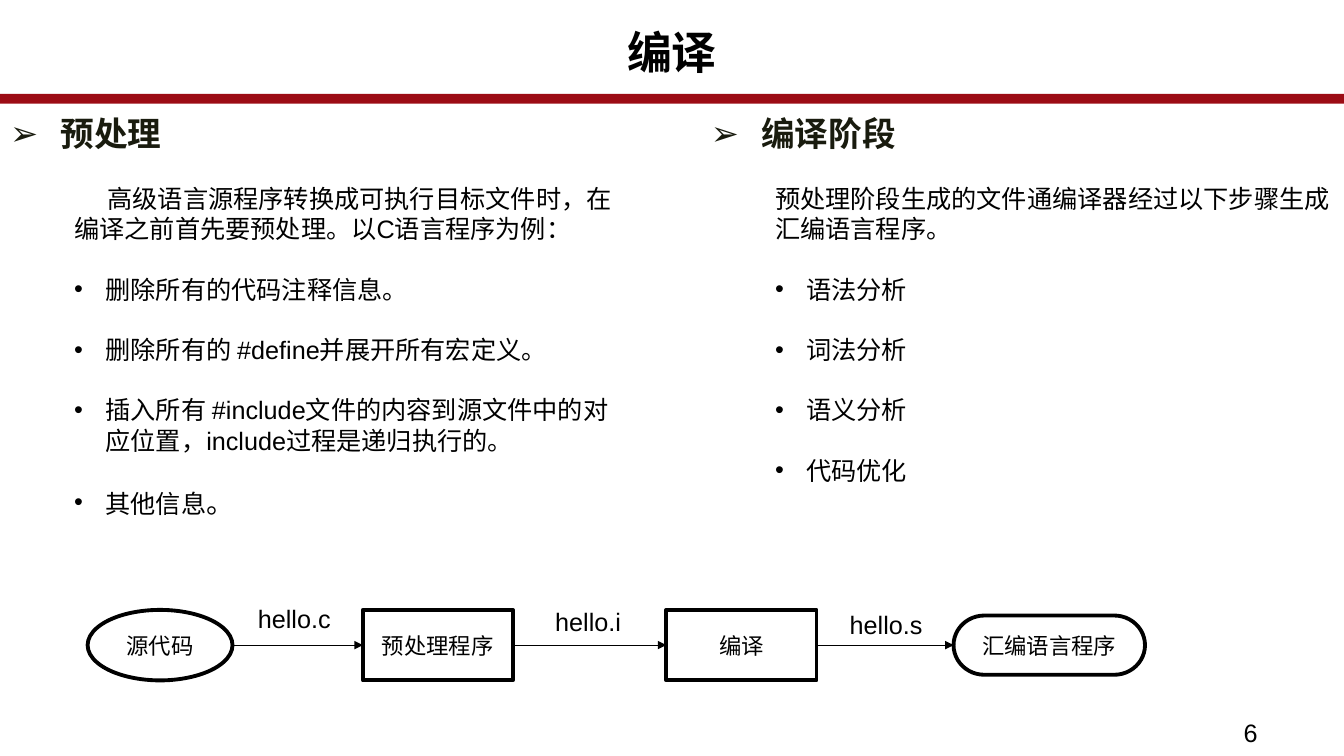
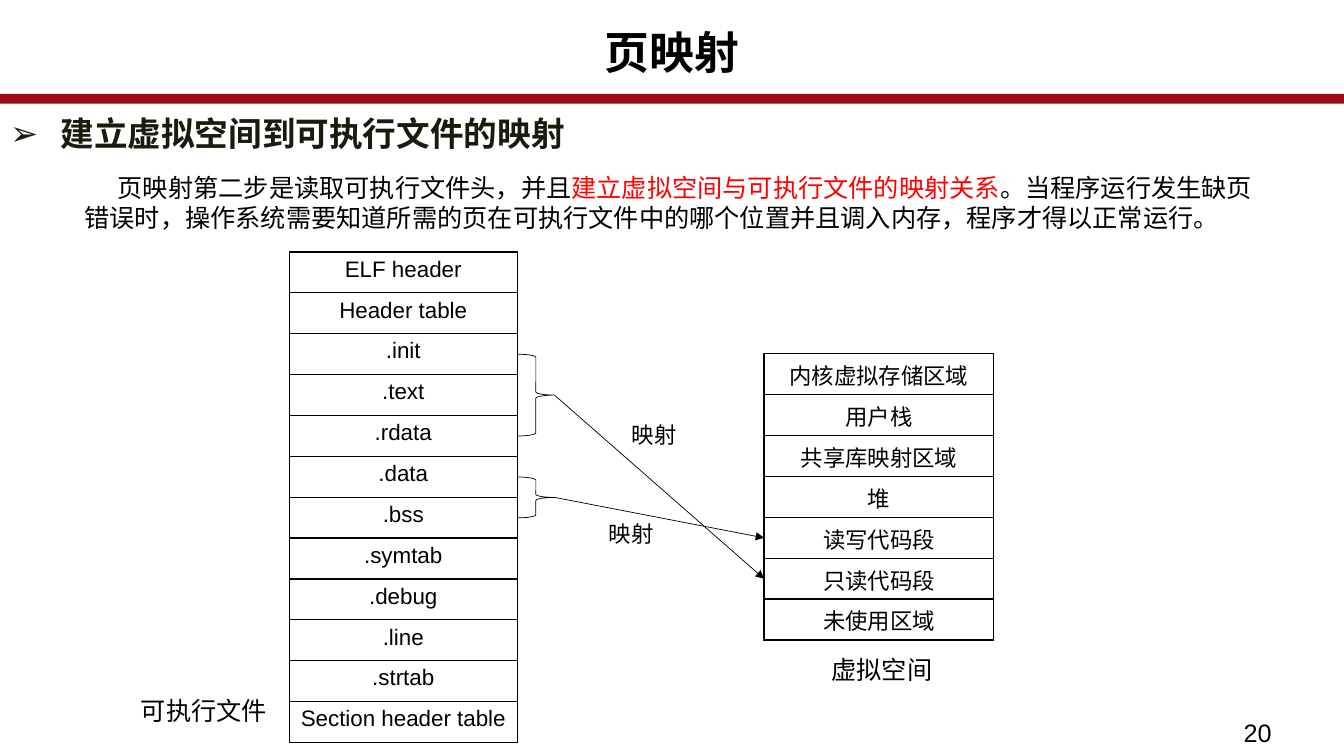
from collections import namedtuple

from lxml import etree
from pptx import Presentation
from pptx.dml.color import RGBColor
from pptx.enum.shapes import MSO_CONNECTOR, MSO_SHAPE
from pptx.enum.text import MSO_ANCHOR, MSO_AUTO_SIZE, PP_ALIGN
from pptx.oxml.ns import qn
from pptx.util import Inches, Pt

WIDTH, HEIGHT = Inches(13.33), Inches(7.5)
FONT = "Arial"
BLACK, WHITE, RED = "000000", "FFFFFF", "FF0000"
BAND, HEADING = "9C0C15", "191B0E"
LEFT, CENTER = PP_ALIGN.LEFT, PP_ALIGN.CENTER
TOP, MIDDLE = MSO_ANCHOR.TOP, MSO_ANCHOR.MIDDLE
NO_AUTOFIT = MSO_AUTO_SIZE.NONE
STRAIGHT = MSO_CONNECTOR.STRAIGHT
ROUNDED, BRACE = MSO_SHAPE.ROUNDED_RECTANGLE, MSO_SHAPE.RIGHT_BRACE
ELLIPSE = MSO_SHAPE.FLOWCHART_CONNECTOR
PROCESS = MSO_SHAPE.FLOWCHART_PROCESS
TERMINATOR = MSO_SHAPE.FLOWCHART_TERMINATOR
TWO_COLUMNS, ONE_COLUMN = 3, 1
ITEM_GAP = 21.5


class Box(namedtuple("Box", "left top width height")):
    def area(self, left, top, width, height):
        return Box(
            round(self.left + self.width * left / 100),
            round(self.top + self.height * top / 100),
            round(self.width * width / 100),
            round(self.height * height / 100),
        )

    @property
    def right(self):
        return self.left + self.width

    @property
    def middle(self):
        return self.top + self.height // 2


PAGE = Box(0, 0, WIDTH, HEIGHT)
LEFT_COLUMN = PAGE.area(0, 14.67, 47.85, 78.4)
RIGHT_COLUMN = PAGE.area(52.15, 14.67, 47.85, 78.4)


def color(value):
    return RGBColor.from_string(value)


def write(para, text, size=18, ink=BLACK, bold=False, align=LEFT, bullet=None,
          margin=0, indent=0, line=None, before=0, after=0):
    properties = para._p.get_or_add_pPr()
    properties.set("marL", str(Inches(margin)))
    properties.set("indent", str(Inches(indent)))
    if bullet:
        etree.SubElement(properties, qn("a:buFont")).set("typeface", FONT)
        etree.SubElement(properties, qn("a:buChar")).set("char", bullet)
    para.alignment = align
    para.space_before, para.space_after = Pt(before), Pt(after)
    if line:
        para.line_spacing = line
    spans = [(text, {})] if isinstance(text, str) else text
    for words, change in spans:
        span = para.add_run()
        span.text = words
        span.font.name = FONT
        span.font.size = Pt(change.get("size", size))
        span.font.bold = bold
        span.font.color.rgb = color(change.get("ink", ink))


def add_text(page, box, text, **style):
    frame = page.shapes.add_textbox(*box).text_frame
    frame.word_wrap = True
    write(frame.paragraphs[0], text, **style)
    return frame


def fill_placeholder(holder, box, text, **style):
    holder.left, holder.top, holder.width, holder.height = box
    frame = holder.text_frame
    frame.auto_size = NO_AUTOFIT
    frame.vertical_anchor = TOP
    write(frame.paragraphs[0], text, bold=True, **style)


def add_outline(page, kind, box, line_width, fill=None, ink=BLACK):
    shape = page.shapes.add_shape(kind, *box)
    shape.shadow.inherit = False
    if fill:
        shape.fill.solid()
        shape.fill.fore_color.rgb = color(fill)
    else:
        shape.fill.background()
    shape.line.color.rgb = color(ink)
    shape.line.width = Pt(line_width)
    return shape


def add_arrow(page, start, end):
    arrow = page.shapes.add_connector(STRAIGHT, *start, *end)
    arrow.line.color.rgb = color(BLACK)
    arrow.line.width = Pt(0.5)
    etree.SubElement(arrow.line._get_or_add_ln(), qn("a:tailEnd")).set("type", "triangle")
    etree.SubElement(arrow.element.spPr, qn("a:effectLst"))


def add_master_band(deck, page):
    band = add_outline(page, ROUNDED, PAGE.area(0, 12.67, 100, 0.8), 2.75, BAND, BAND)
    deck.slide_master.element.cSld.spTree.append(band.element)


def add_page(deck, layout, title, number):
    page = deck.slides.add_slide(deck.slide_layouts[layout])
    fill_placeholder(page.shapes.title, PAGE.area(0, 3.47, 100, 10), title,
                     size=32, align=CENTER, line=0.89)
    add_text(page, PAGE.area(91.8, 94.27, 8.2, 5.87), number)
    return page


def add_heading(page, index, box, text):
    fill_placeholder(page.placeholders[index], box, text, size=24, ink=HEADING,
                     bullet="➢", margin=0.5, indent=-0.5, line=0.94, after=2)


def add_topic(page, index, box, heading, lead, items, indent=0):
    add_heading(page, index, box, heading)
    frame = add_text(page, box.area(10, 11.4, 90, 74.5), lead, indent=indent)
    for item in items:
        write(frame.add_paragraph(), item, bullet="•", margin=0.31,
              indent=-0.31, before=ITEM_GAP)


def add_flow(page, box, stations, labels):
    previous = None
    for kind, text, left, width, height in stations:
        place = box.area(left, (100 - height) / 2, width, height)
        frame = add_outline(page, kind, place, 2.75, WHITE).text_frame
        frame.vertical_anchor = MIDDLE
        write(frame.paragraphs[0], text, size=16, align=CENTER)
        if previous:
            add_arrow(page, (previous.right, box.middle), (place.left, box.middle))
        previous = place
    for text, left, top in labels:
        add_text(page, box.area(left, top, 10.8, 57), text)


def style_cell(cell, opaque):
    properties = cell._tc.get_or_add_tcPr()
    for side in ("a:lnL", "a:lnR", "a:lnT", "a:lnB"):
        border = etree.SubElement(properties, qn(side), w=str(Pt(1)))
        paint = etree.SubElement(border, qn("a:solidFill"))
        etree.SubElement(paint, qn("a:srgbClr"), val=BLACK)
    cell.fill.solid()
    cell.fill.fore_color.rgb = color(WHITE)
    if not opaque:
        tint = properties.find(qn("a:solidFill")).find(qn("a:srgbClr"))
        etree.SubElement(tint, qn("a:alpha"), val="66000")


def add_stack(page, box, names, opaque_row):
    table = page.shapes.add_table(len(names), 1, *box).table
    table.first_row = table.horz_banding = False
    for index, name in enumerate(names):
        table.rows[index].height = box.height // len(names)
        cell = table.cell(index, 0)
        style_cell(cell, index == opaque_row)
        write(cell.text_frame.paragraphs[0], name, size=16, align=CENTER)


def add_mapping(page, source, sections, target, regions, links):
    add_stack(page, source, sections, opaque_row=1)
    add_stack(page, target, regions, opaque_row=0)
    for first, last, region in links:
        row = 100 / len(sections)
        brace = source.area(100, (first + 0.5) * row, 16.4, (last - first) * row)
        add_outline(page, BRACE, brace, 0.5)
        goal = target.area(0, (region + 0.5) * 100 / len(regions), 0, 0)
        add_arrow(page, (brace.right, brace.middle), (goal.left, goal.top))


def build_compile_page(deck):
    page = add_page(deck, TWO_COLUMNS, "编译", "6")
    add_master_band(deck, page)
    add_topic(
        page, 1, LEFT_COLUMN, "预处理",
        "高级语言源程序转换成可执行目标文件时，在编译之前首先要预处理。以C语言程序为例：",
        [
            "删除所有的代码注释信息。",
            "删除所有的 #define并展开所有宏定义。",
            "插入所有 #include文件的内容到源文件中的对应位置，include过程是递归执行的。",
            [("其他信息", {}), ("。", {"size": 20})],
        ],
        indent=0.33,
    )
    add_topic(
        page, 2, RIGHT_COLUMN, "编译阶段",
        "预处理阶段生成的文件通编译器经过以下步骤生成汇编语言程序。",
        ["语法分析", "词法分析", "语义分析", "代码优化"],
    )
    add_flow(
        page, PAGE.area(6.52, 80.67, 78.68, 9.33),
        [
            (ELLIPSE, "源代码", 0, 13.7, 100),
            (PROCESS, "预处理程序", 26.02, 14.2, 100),
            (PROCESS, "编译", 54.72, 14.2, 100),
            (TERMINATOR, "汇编语言程序", 81.89, 18.11, 84),
        ],
        [("hello.c", 15.16, -15.7), ("hello.i", 43.28, -11.4), ("hello.s", 71.12, -7.1)],
    )


def build_mapping_page(deck):
    page = add_page(deck, ONE_COLUMN, "页映射", "20")
    add_heading(page, 1, LEFT_COLUMN, "建立虚拟空间到可执行文件的映射")
    add_text(
        page, PAGE.area(5.55, 22.13, 88.95, 9.47),
        [
            ("页映射第二步是读取可执行文件头，并且", {}),
            ("建立虚拟空间与可执行文件的映射关系", {"ink": RED}),
            ("。当程序运行发生缺页错误时，操作系统需要知道所需的页在可执行文件中的哪个位置"
             "并且调入内存，程序才得以正常运行。", {}),
        ],
        indent=0.33,
    )
    add_mapping(
        page,
        PAGE.area(21.53, 33.33, 16.95, 64.93),
        ["ELF header", "Header table", ".init", ".text", ".rdata", ".data", ".bss",
         ".symtab", ".debug", ".line", ".strtab", "Section header table"],
        PAGE.area(56.85, 46.8, 17.1, 37.87),
        ["内核虚拟存储区域", "用户栈", "共享库映射区域", "堆", "读写代码段",
         "只读代码段", "未使用区域"],
        [(5, 6, 4), (2, 4, 5)],
    )
    for text, left, top, width, size in (
        ("映射", 46.28, 55.07, 5.48, 16),
        ("映射", 44.55, 68.13, 5.48, 16),
        ("可执行文件", 9.75, 91.33, 13.58, 18),
        ("虚拟空间", 61.13, 85.87, 12.23, 18),
    ):
        add_text(page, PAGE.area(left, top, width, 5.33), text, size=size)


def main():
    deck = Presentation()
    deck.slide_width, deck.slide_height = WIDTH, HEIGHT
    build_compile_page(deck)
    build_mapping_page(deck)
    deck.save("out.pptx")


if __name__ == "__main__":
    main()
